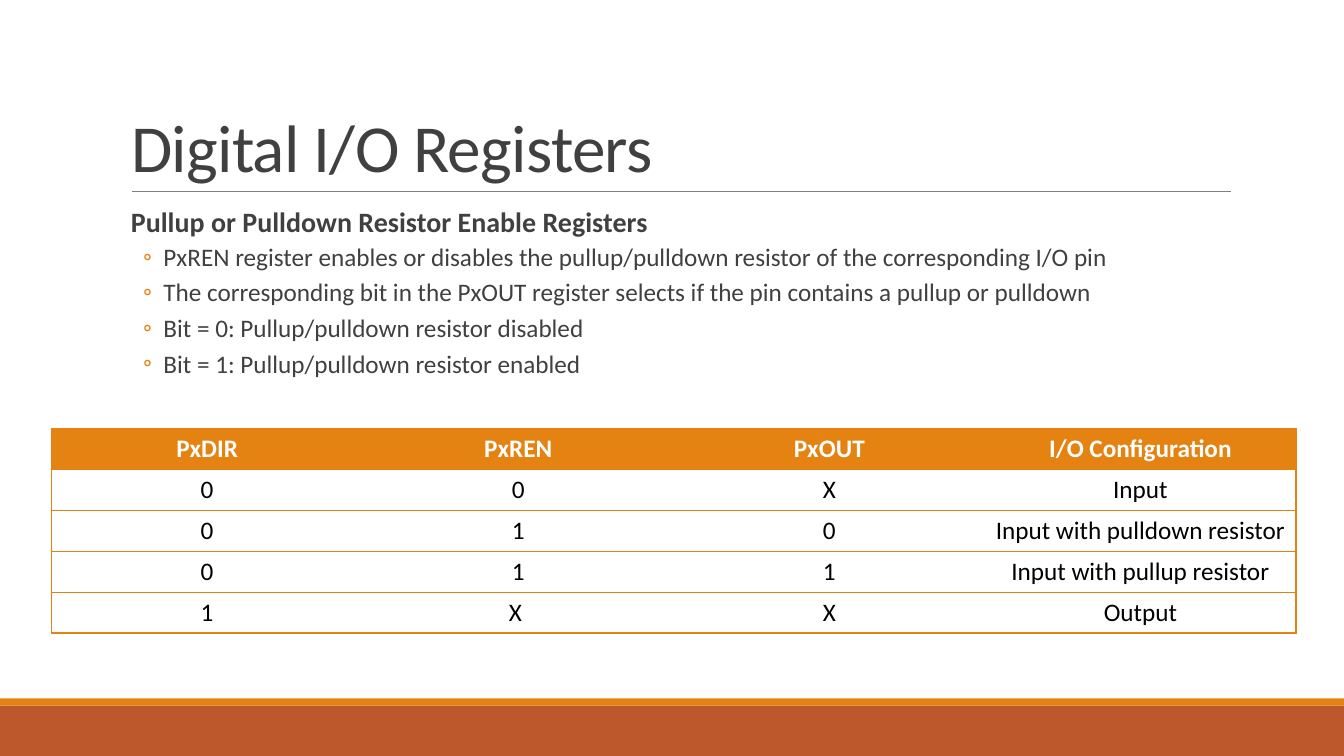
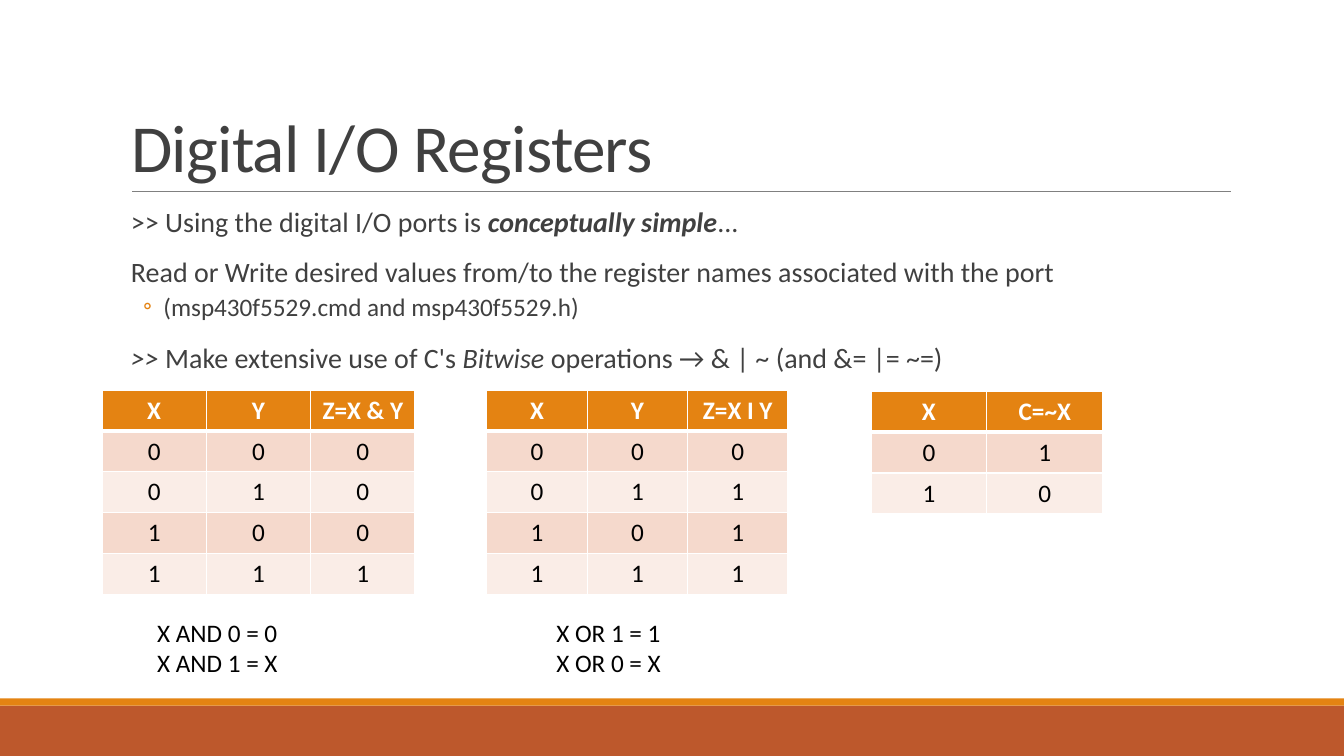
"""Build two slides on digital I/O registers."""
from dataclasses import dataclass

from lxml import etree
from pptx import Presentation
from pptx.dml.color import RGBColor
from pptx.enum.shapes import MSO_CONNECTOR, MSO_SHAPE
from pptx.enum.text import MSO_ANCHOR, MSO_AUTO_SIZE, PP_ALIGN
from pptx.oxml.ns import qn
from pptx.util import Cm, Pt

RECT = MSO_SHAPE.RECTANGLE
STRAIGHT = MSO_CONNECTOR.STRAIGHT
BOTTOM = MSO_ANCHOR.BOTTOM
LEFT, CENTER = PP_ALIGN.LEFT, PP_ALIGN.CENTER
NO_FIT, GROW = MSO_AUTO_SIZE.NONE, MSO_AUTO_SIZE.SHAPE_TO_FIT_TEXT


@dataclass(frozen=True)
class Theme:
    """Colours, font and type sizes shared by the slides."""
    accent: str = "E48312"
    footer: str = "BD582C"
    rule: str = "808080"
    text: str = "404040"
    black: str = "000000"
    white: str = "FFFFFF"
    band_dark: str = "F5D9CC"
    band_light: str = "FAEDE7"
    font: str = "Calibri"
    title_size: int = 48
    body_size: int = 20
    small_size: int = 18


THEME = Theme()
SLIDE_W, SLIDE_H = 33.87, 19.05
MARGIN, CONTENT_W = 3.05, 27.94
ROW_H = 1.03


def rgb(color):
    """Turn a hex string into a colour."""
    return RGBColor.from_string(color)


def add_text(p, text, *, size=THEME.small_size, color=THEME.black,
             bold=False, italic=False, spacing=None):
    """Add one formatted run to a paragraph."""
    r = p.add_run()
    r.text = text
    r.font.name = THEME.font
    r.font.size = Pt(size)
    r.font.color.rgb = rgb(color)
    r.font.bold = bold
    r.font.italic = italic
    if spacing is not None:
        r.font._element.set("spc", str(int(spacing * 100)))


def next_paragraph(tf, index):
    """Return the first paragraph of a frame, or a new one after it."""
    return tf.add_paragraph() if index else tf.paragraphs[0]


def add_band(s, top, height, color):
    """Draw a plain band across the slide."""
    band = s.shapes.add_shape(RECT, 0, Cm(top), Cm(SLIDE_W), Cm(height))
    band.shadow.inherit = False
    band.fill.solid()
    band.fill.fore_color.rgb = rgb(color)
    band.line.fill.background()


def add_rule(s, left, right, y):
    """Draw the thin line under the title."""
    rule = s.shapes.add_connector(STRAIGHT, Cm(left), Cm(y), Cm(right), Cm(y))
    rule.line.color.rgb = rgb(THEME.rule)
    rule.line.width = Pt(0.5)
    etree.SubElement(rule._element.spPr, qn("a:effectLst"))


def add_title_slide(prs, title):
    """Add a slide with its title, rule and footer bands."""
    s = prs.slides.add_slide(prs.slide_layouts[5])
    add_band(s, 17.78, 1.27, THEME.footer)
    add_band(s, 17.6, 0.18, THEME.accent)
    add_rule(s, 3.33, 31.01, 4.83)
    sp = s.shapes.title
    sp.left, sp.top = Cm(MARGIN), Cm(0.79)
    sp.width, sp.height = Cm(CONTENT_W), Cm(4.04)
    tf = sp.text_frame
    tf.auto_size = NO_FIT
    tf.vertical_anchor = BOTTOM
    p = tf.paragraphs[0]
    p.alignment = LEFT
    p.line_spacing = 0.85
    add_text(p, title, size=THEME.title_size, color=THEME.text, spacing=-0.5)
    return s


def set_bullet(p):
    """Give a paragraph a hanging ring bullet."""
    pPr = p._p.get_or_add_pPr()
    pPr.set("marL", str(Cm(1.07)))
    pPr.set("indent", str(-Cm(0.51)))
    color = etree.SubElement(pPr, qn("a:buClr"))
    etree.SubElement(color, qn("a:srgbClr"), val=THEME.accent)
    etree.SubElement(pPr, qn("a:buFont"), typeface=THEME.font)
    etree.SubElement(pPr, qn("a:buChar"), char="◦")


def add_body(s, paragraphs):
    """Add body text from (level, runs) pairs."""
    sp = s.shapes.add_textbox(Cm(MARGIN), Cm(5.13), Cm(CONTENT_W), Cm(11.18))
    tf = sp.text_frame
    tf.word_wrap = True
    tf.margin_left = tf.margin_right = 0
    for i, (level, runs) in enumerate(paragraphs):
        p = next_paragraph(tf, i)
        if level:
            p.level = level
            set_bullet(p)
        else:
            p._p.get_or_add_pPr().set("marL", str(Cm(0.25)))
        p.line_spacing = 0.9
        if i:
            p.space_before = Pt(2 if level else 12)
        p.space_after = Pt(4 if level else 2)
        size = THEME.small_size if level else THEME.body_size
        for text, fmt in runs:
            add_text(p, text, size=size, color=THEME.text, **fmt)


def add_caption(s, left, width, lines):
    """Add a short unwrapped note below a table."""
    sp = s.shapes.add_textbox(Cm(left), Cm(15.42), Cm(width), Cm(1.8))
    tf = sp.text_frame
    tf.word_wrap = False
    tf.auto_size = GROW
    for i, line in enumerate(lines):
        add_text(next_paragraph(tf, i), line)


def set_borders(cell, color, **widths):
    """Set cell borders by side; a width of zero hides the side."""
    tcPr = cell._tc.get_or_add_tcPr()
    for side in "LRTB":
        width = widths[side]
        ln = etree.SubElement(tcPr, qn(f"a:ln{side}"), w=str(Pt(width)))
        if width:
            fill = etree.SubElement(ln, qn("a:solidFill"))
            etree.SubElement(fill, qn("a:srgbClr"), val=color)
        else:
            etree.SubElement(ln, qn("a:noFill"))


def add_table(s, left, top, col_w, rows, style_cell):
    """Add a centred table whose cells are styled by the given function."""
    n_rows, n_cols = len(rows), len(rows[0])
    table = s.shapes.add_table(n_rows, n_cols, Cm(left), Cm(top),
                               Cm(col_w * n_cols), Cm(ROW_H * n_rows)).table
    table.horz_banding = False
    for col in table.columns:
        col.width = Cm(col_w)
    for i, values in enumerate(rows):
        table.rows[i].height = Cm(ROW_H)
        for j, value in enumerate(values):
            cell = table.cell(i, j)
            fill = style_cell(cell, i, j, n_cols)
            if fill:
                cell.fill.solid()
                cell.fill.fore_color.rgb = rgb(fill)
            else:
                cell.fill.background()
            p = cell.text_frame.paragraphs[0]
            p.alignment = CENTER
            add_text(p, value, bold=i == 0,
                     color=THEME.black if i else THEME.white)


def style_ruled(cell, i, j, n_cols):
    """Rule rows in the accent colour and return the fill."""
    set_borders(cell, THEME.accent, L=int(j == 0), R=int(j == n_cols - 1),
                T=1, B=1)
    return None if i else THEME.accent


def style_banded(cell, i, j, n_cols):
    """Draw a white grid and return the fill of the row."""
    set_borders(cell, THEME.white, L=1, R=1,
                T=3 if i == 1 else 1, B=1 if i else 3)
    if i == 0:
        return THEME.accent
    return THEME.band_dark if i % 2 else THEME.band_light


def truth_table(name, operation):
    """Return the rows of a two-input truth table."""
    rows = [(x, y, operation(x, y)) for x in (0, 1) for y in (0, 1)]
    return [("X", "Y", name)] + [tuple(map(str, row)) for row in rows]


def build_resistor_slide(prs):
    """Build the slide on resistor enable registers."""
    s = add_title_slide(prs, "Digital I/O Registers")
    bullets = [
        "PxREN register enables or disables the pullup/pulldown resistor "
        "of the corresponding I/O pin",
        "The corresponding bit in the PxOUT register selects if the pin "
        "contains a pullup or pulldown",
        "Bit = 0: Pullup/pulldown resistor disabled",
        "Bit = 1: Pullup/pulldown resistor enabled",
    ]
    heading = ("Pullup or Pulldown Resistor Enable Registers", {"bold": True})
    add_body(s, [(0, [heading])] + [(1, [(text, {})]) for text in bullets])
    add_table(s, 1.3, 10.8, 7.84, [
        ("PxDIR", "PxREN", "PxOUT", "I/O Configuration"),
        ("0", "0", "X", "Input"),
        ("0", "1", "0", "Input with pulldown resistor"),
        ("0", "1", "1", "Input with pullup resistor"),
        ("1", "X ", "X", "Output"),
    ], style_ruled)


def build_bitwise_slide(prs):
    """Build the slide on bitwise operations."""
    s = add_title_slide(prs, "Digital I/O Registers")
    add_body(s, [
        (0, [(">> Using the digital I/O ports is ", {}),
             ("conceptually simple", {"bold": True, "italic": True}),
             ("...", {})]),
        (0, [("Read or Write desired values from/to the register names "
              "associated with the port", {})]),
        (1, [("(msp430f5529.cmd and msp430f5529.h)", {})]),
        (0, [(">> ", {"italic": True}),
             ("Make extensive use of C's ", {}),
             ("Bitwise ", {"italic": True}),
             ("operations → & | ~ (and &= |= ~=)", {})]),
    ])
    and_rows = truth_table("Z=X & Y", lambda x, y: x & y)
    or_rows = truth_table("Z=X I Y", lambda x, y: x | y)
    not_rows = [("X", "C=~X"), ("0", "1"), ("1", "0")]
    for left, top, col_w, rows in ((2.57, 9.83, 2.63, and_rows),
                                   (12.27, 9.83, 2.53, or_rows),
                                   (21.95, 9.86, 2.92, not_rows)):
        add_table(s, left, top, col_w, rows, style_banded)
    add_caption(s, 3.71, 3.58, ["X AND 0 = 0", "X AND 1 = X"])
    add_caption(s, 13.77, 3.2, ["X OR 1 = 1", "X OR 0 = X"])


def main():
    """Build and save the presentation."""
    prs = Presentation()
    prs.slide_width, prs.slide_height = Cm(SLIDE_W), Cm(SLIDE_H)
    build_resistor_slide(prs)
    build_bitwise_slide(prs)
    prs.save("out.pptx")


if __name__ == "__main__":
    main()
